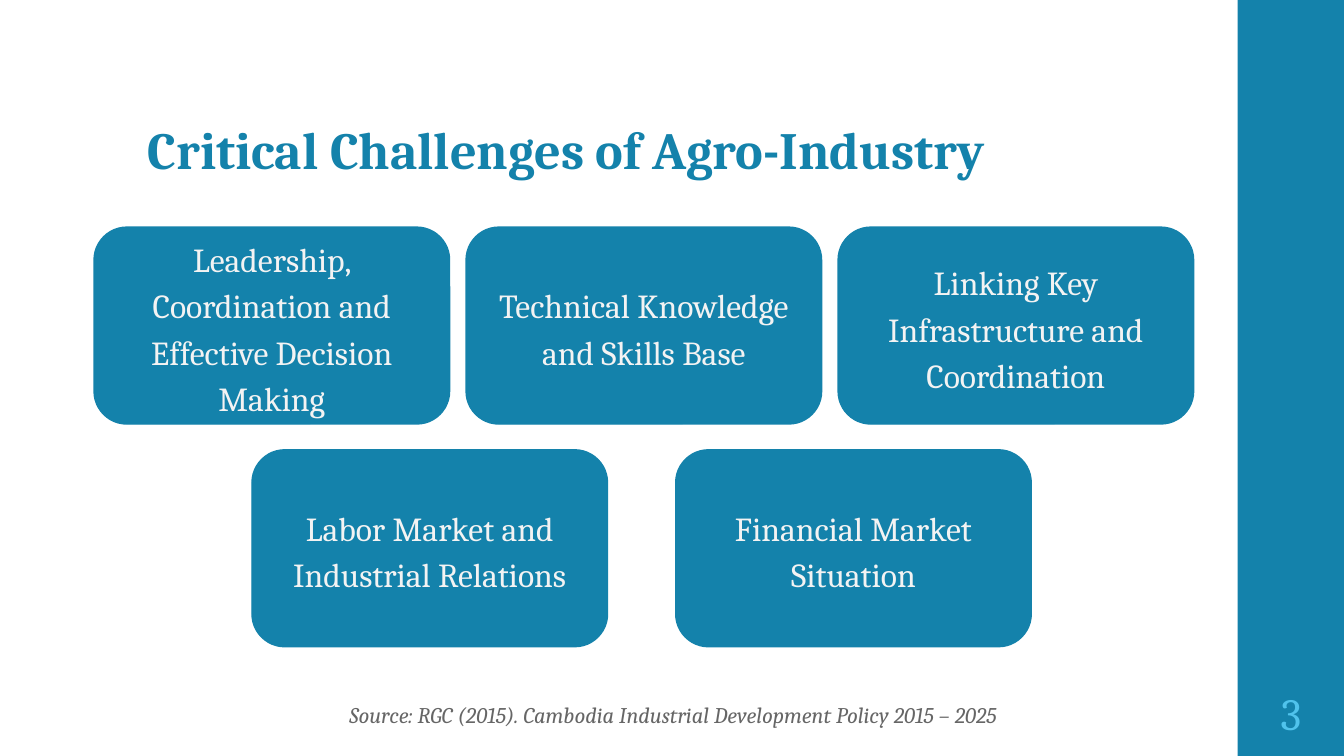
"""Build the slide on critical challenges of agro-industry."""
from pptx import Presentation
from pptx.dml.color import RGBColor
from pptx.enum.shapes import MSO_SHAPE
from pptx.enum.text import MSO_ANCHOR, MSO_AUTO_SIZE, PP_ALIGN
from pptx.util import Pt

THEME = {
    "font": "Cambria",
    "blue": RGBColor.from_string("1482AB"),
    "title": {"color": "1482AB", "size": 28},
    "card": {"color": "F3F3F3", "size": 18},
    "source": {"color": "666666", "size": 12},
    "number": {"color": "50C3EC", "size": 24},
}


def write_text(shape, text, role, margins, frame_format, para_format, font_format):
    frame = shape.text_frame
    horizontal, vertical = margins
    frame_values = {
        "word_wrap": True,
        "auto_size": MSO_AUTO_SIZE.NONE,
        "margin_left": Pt(horizontal),
        "margin_right": Pt(horizontal),
        "margin_top": Pt(vertical),
        "margin_bottom": Pt(vertical),
    }
    para = frame.paragraphs[0]
    span = para.add_run()
    span.text = text
    font_values = {"name": THEME["font"], "size": Pt(THEME[role]["size"])}
    for target, values in (
        (frame, frame_values | frame_format),
        (para, para_format),
        (span.font, font_values | font_format),
    ):
        for name, value in values.items():
            setattr(target, name, value)
    span.font.color.rgb = RGBColor.from_string(THEME[role]["color"])


def add_block(page, kind, left, top, width, height):
    block = page.shapes.add_shape(kind, Pt(left), Pt(top), Pt(width), Pt(height))
    block.shadow.inherit = False
    block.fill.solid()
    block.fill.fore_color.rgb = THEME["blue"]
    block.line.color.rgb = THEME["blue"]
    block.line.width = Pt(0.75)
    return block


deck = Presentation()
deck.slide_width, deck.slide_height = Pt(720), Pt(405)
page = deck.slides.add_slide(deck.slide_layouts[5])

sidebar = add_block(page, MSO_SHAPE.RECTANGLE, 663, 0, 57, 405)
sidebar.line.fill.background()

title = page.shapes.title
title_place = {"left": 74.2, "top": 21.6, "width": 572.4, "height": 78.5}
for name, value in title_place.items():
    setattr(title, name, Pt(value))
write_text(
    title, "Critical Challenges of Agro-Industry", "title", (5, 3),
    {"vertical_anchor": MSO_ANCHOR.BOTTOM},
    {"alignment": PP_ALIGN.LEFT, "line_spacing": 0.9},
    {"bold": True},
)

card_width, card_height = 190.5, 105.5
card_rows = [
    (50.4, 121.7, 199.3, [
        "Leadership, Coordination and Effective Decision Making",
        "Technical Knowledge and Skills Base",
        "Linking Key Infrastructure and Coordination",
    ]),
    (135, 241, 227, [
        "Labor Market and Industrial Relations",
        "Financial Market Situation",
    ]),
]
card_para = {
    "alignment": PP_ALIGN.CENTER,
    "line_spacing": 1.15,
    "space_before": Pt(12),
    "space_after": Pt(12),
}
for left, top, pitch, challenges in card_rows:
    for column, challenge in enumerate(challenges):
        card = add_block(
            page, MSO_SHAPE.FLOWCHART_ALTERNATE_PROCESS,
            left + column * pitch, top, card_width, card_height,
        )
        write_text(
            card, challenge, "card", (7.2, 7.2),
            {"vertical_anchor": MSO_ANCHOR.MIDDLE}, card_para, {},
        )

source = page.shapes.add_textbox(Pt(108), Pt(368.6), Pt(505.4), Pt(36))
write_text(
    source, "Source: RGC (2015). Cambodia Industrial Development Policy 2015 – 2025",
    "source", (7.2, 7.2), {"vertical_anchor": MSO_ANCHOR.TOP},
    {"alignment": PP_ALIGN.CENTER}, {"italic": True},
)

number = page.shapes.add_textbox(Pt(664.6), Pt(364.3), Pt(54), Pt(35.3))
write_text(
    number, "3", "number", (1.4, 2.9), {"vertical_anchor": MSO_ANCHOR.MIDDLE},
    {"alignment": PP_ALIGN.CENTER}, {},
)

deck.save("out.pptx")
